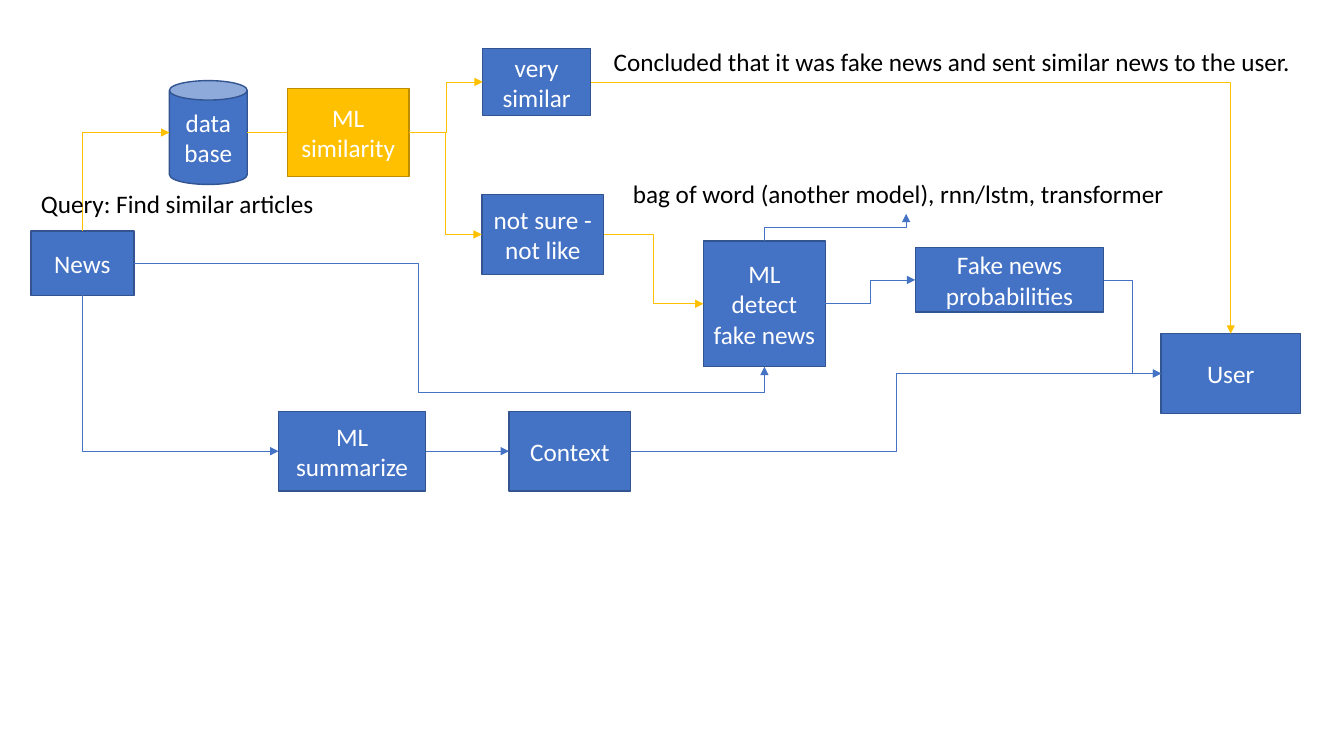
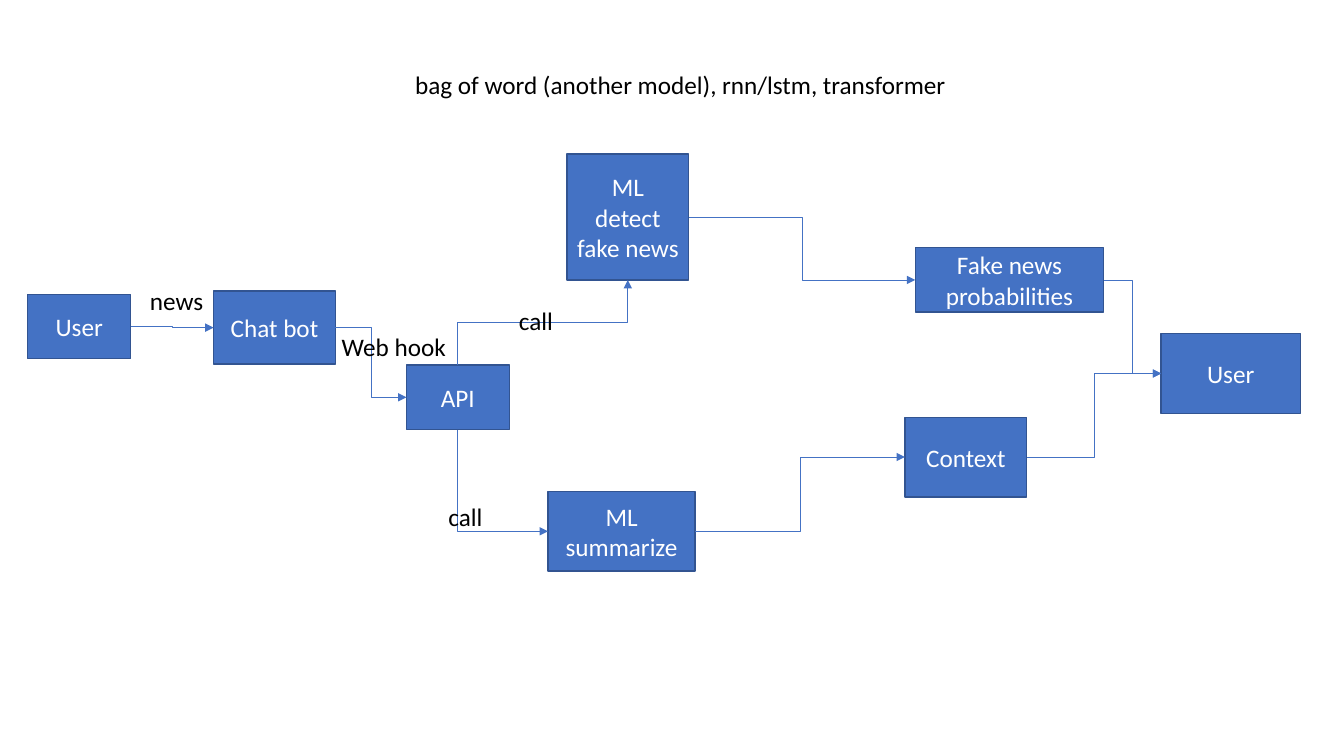
from lxml.etree import SubElement
from pptx import Presentation
from pptx.dml.color import RGBColor
from pptx.enum.shapes import MSO_CONNECTOR, MSO_SHAPE
from pptx.enum.text import MSO_ANCHOR, MSO_AUTO_SIZE, PP_ALIGN
from pptx.oxml.ns import qn
from pptx.util import Pt

BLUE = RGBColor(0x44, 0x72, 0xC4)
NAVY = RGBColor(0x32, 0x54, 0x91)
GOLD = RGBColor(0xFF, 0xC0, 0x00)
BROWN = RGBColor(0xBD, 0x8E, 0x00)
WHITE = RGBColor(0xFF, 0xFF, 0xFF)
BLACK = RGBColor(0, 0, 0)

# Box sizes and parts that both slides share
SMALL, MID, TALL, WIDE = (73.5, 46), (87, 57), (87, 90), (105, 57)
ODDS = ("Fake news probabilities", 653.8, 177, 134.6, 46)
READER = ("User", 829.4, 238.3, 99.4, 57)
MODELS = "bag of word (another model), rnn/lstm, transformer"
TOP, LEFT, BASE, RIGHT = range(4)


def put(slide, text, x, y, w, h=29, fill=BLUE, edge=NAVY, form=MSO_SHAPE.RECTANGLE):
    """Add a filled box, or a plain label when fill is None."""
    spot = Pt(x), Pt(y), Pt(w), Pt(h)
    if fill is None:
        box = slide.shapes.add_textbox(*spot)
        box.text_frame.word_wrap = False
        box.text_frame.auto_size = MSO_AUTO_SIZE.SHAPE_TO_FIT_TEXT
    else:
        box = slide.shapes.add_shape(form, *spot)
        box.shadow.inherit = False
        box.fill.solid()
        box.fill.fore_color.rgb = fill
        box.line.color.rgb = edge
        box.line.width = Pt(1)
        box.text_frame.vertical_anchor = MSO_ANCHOR.MIDDLE
    box.text_frame.text = text
    para = box.text_frame.paragraphs[0]
    para.alignment = PP_ALIGN.LEFT if fill is None else PP_ALIGN.CENTER
    para.font.name = "Calibri"
    para.font.size = Pt(18)
    para.font.color.rgb = BLACK if fill is None else WHITE
    return box


def link(slide, start, side, end, goal, tint=BLUE, head=True, bends=()):
    """Join the middles of two sides; the sides decide how the line bends."""
    ends = []
    for box, edge in ((start, side), (end, goal)):
        ends.append(box.left + (box.width // 2, 0, box.width // 2, box.width)[edge])
        ends.append(box.top + (0, box.height // 2, box.height, box.height // 2)[edge])
    x1, y1, x2, y2 = ends
    flat = y1 == y2
    kind = MSO_CONNECTOR.STRAIGHT if flat else MSO_CONNECTOR.ELBOW
    line = slide.shapes.add_connector(kind, *ends)
    # A can numbers its sides differently, so only rectangles are glued
    if start.name[:3] != "Can":
        line.begin_connect(start, side)
    if end.name[:3] != "Can":
        line.end_connect(end, goal)

    props = line._element.spPr
    geom = props.find(qn("a:prstGeom"))
    if bends:
        geom.set("prst", "bentConnector4")
        guides = geom.find(qn("a:avLst"))
        for num, bend in enumerate(bends, 1):
            SubElement(guides, qn("a:gd"), name=f"adj{num}", fmla=f"val {bend}")
    elif side % 2 != goal % 2:
        geom.set("prst", "bentConnector2")

    # A line that leaves upward or downward is a turned, flipped one
    if side in (TOP, BASE):
        wide, high = abs(x2 - x1), abs(y2 - y1)
        line.left = (x1 + x2 - high) // 2
        line.top = (y1 + y2 - wide) // 2
        line.width, line.height = high, wide
        frame = props.find(qn("a:xfrm"))
        frame.set("rot", str((90 if y2 < y1 else 270) * 60000))
        frame.set("flipH", "1")

    line.line.color.rgb = tint
    line.line.width = Pt(0.5)
    if head:
        SubElement(props.find(qn("a:ln")), qn("a:tailEnd"), type="triangle")
    SubElement(props, qn("a:effectLst"))


deck = Presentation()
deck.slide_width, deck.slide_height = Pt(960), Pt(540)
blank = deck.slide_layouts[6]

# Slide 1: boxes
page = deck.slides.add_slide(blank)
news = put(page, "News", 22.1, 165, *SMALL)
check = put(page, "ML detect fake news", 502.5, 172, *TALL)
brief = put(page, "ML summarize", 199, 293.8, *WIDE)
odds = put(page, *ODDS)
user = put(page, *READER)
models = put(page, MODELS, 445, 123.8, 404.6, fill=None)
match = put(page, "ML similarity", 205.2, 63.4, 87, 62.6, GOLD, BROWN)
store = put(page, "database", 121, 57.6, 55.6, 74.2, form=MSO_SHAPE.CAN)
close = put(page, "very similar", 344.9, 34.6, 77, 48)
vague = put(page, "not sure - not like", 344.2, 139, *MID)
scene = put(page, "Context", 363.6, 293.8, *MID)

# Slide 1: blue lines
for start, side, end, goal in (
    (news, BASE, brief, LEFT),
    (odds, RIGHT, user, LEFT),
    (scene, RIGHT, user, LEFT),
    (check, TOP, models, BASE),
    (check, RIGHT, odds, LEFT),
    (brief, RIGHT, scene, LEFT),
):
    link(page, start, side, end, goal)
link(page, news, RIGHT, check, BASE, bends=(45200, 124300))

# Slide 1: gold lines
for start, side, end, goal in (
    (news, TOP, store, LEFT),
    (match, RIGHT, close, LEFT),
    (match, RIGHT, vague, LEFT),
    (vague, RIGHT, check, LEFT),
    (close, RIGHT, user, TOP),
):
    link(page, start, side, end, goal, GOLD)
link(page, store, RIGHT, match, LEFT, GOLD, head=False)

# Slide 1: labels
put(page, "Query: Find similar articles", 22.1, 131, 212.4, fill=None)
put(page, "Concluded that it was fake news and sent similar news to the user.",
    431.3, 29.5, 503.3, fill=None)

# Slide 2: boxes
page = deck.slides.add_slide(blank)
bot = put(page, "Chat bot", 152.6, 208, 87, 52)
check = put(page, "ML detect fake news", 405, 110, *TALL)
brief = put(page, "ML summarize", 391.5, 351, *WIDE)
odds = put(page, *ODDS)
user = put(page, *READER)
scene = put(page, "Context", 646.4, 298, *MID)
asker = put(page, "User", 19.8, 210.3, *SMALL)
api = put(page, "API", 290.3, 260.8, *SMALL)

# Slide 2: lines
for start, side, end, goal in (
    (asker, RIGHT, bot, LEFT),
    (bot, RIGHT, api, LEFT),
    (api, TOP, check, BASE),
    (api, BASE, brief, LEFT),
    (check, RIGHT, odds, LEFT),
    (brief, RIGHT, scene, LEFT),
    (odds, RIGHT, user, LEFT),
    (scene, RIGHT, user, LEFT),
):
    link(page, start, side, end, goal)

# Slide 2: labels
for text, x, y, w in (
    (MODELS, 289.4, 46, 404.6),
    ("news", 100, 200.3, 53.3),
    ("Web hook", 237, 233.3, 90),
    ("call", 363.6, 214.6, 38.9),
    ("call", 313.2, 354.3, 38.9),
):
    put(page, text, x, y, w, fill=None)

deck.save("out.pptx")
